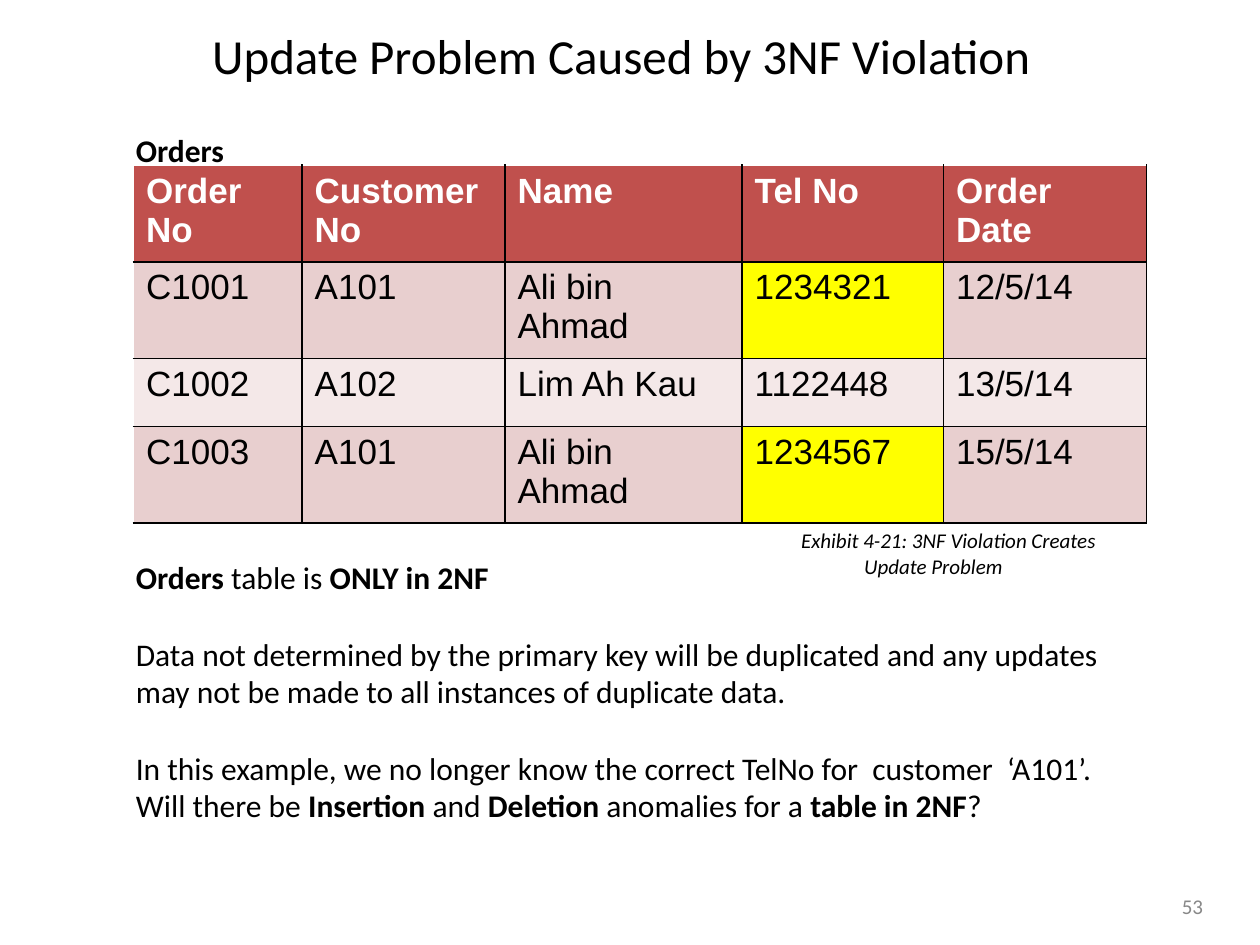
from lxml import etree
from pptx import Presentation
from pptx.dml.color import RGBColor
from pptx.enum import text as t
from pptx.oxml import ns
from pptx.util import Cm, Pt

BLACK, WHITE, GREY = "000000", "FFFFFF", "888888"
RED, ROSE, PALE, YELLOW = "C0504D", "E8CFCF", "F4E8E8", "FFFF00"

TITLE = [["Update Problem Caused by 3NF Violation"]]
TABLE_NAME = [["*Orders"]]
CAPTION = [["Exhibit 4-21: 3NF Violation Creates"], ["\tUpdate Problem"]]
PAGE_NUMBER = [["53"]]
DISCUSSION = [
    ["*Orders", " table is ", "*ONLY in 2NF"],
    ["Data not determined by the primary key will be duplicated and any updates "
     "may not be made to all instances of duplicate data."],
    ["In this example, we no longer know the correct TelNo for  customer  ‘A101’."],
    ["Will there be ", "*Insertion", " and ", "*Deletion",
     " anomalies for a ", "*table in 2NF", "?"],
]
GAPS_BEFORE = {1: 22, 2: 22}

ORDERS = [
    ["Order No", "Customer\nNo", "Name", "Tel No", "Order Date"],
    ["C1001", "A101", "Ali bin Ahmad", "1234321", "12/5/14"],
    ["C1002", "A102", "Lim Ah Kau", "1122448", "13/5/14"],
    ["C1003", "A101", "Ali bin Ahmad", "1234567", "15/5/14"],
]
COLUMN_WIDTHS = [3.4, 4.09, 4.78, 4.06, 4.09]
ROW_HEIGHTS = [1.93, 1.93, 1.37, 1.93]
CONFLICTS = {(1, 3), (3, 3)}


def rgb(color):
    return RGBColor.from_string(color)


def style(font, name, size, color):
    font.name, font.size = name, Pt(size)
    font.color.rgb = rgb(color)


def add_text(slide, paragraphs, box, size, color=BLACK, align=t.PP_ALIGN.LEFT,
             anchor=t.MSO_ANCHOR.TOP, italic=False, wrap=True, gaps={}):
    frame = slide.shapes.add_textbox(*map(Cm, box)).text_frame
    frame.word_wrap, frame.vertical_anchor = wrap, anchor
    for index, pieces in enumerate(paragraphs):
        paragraph = frame.paragraphs[0] if index == 0 else frame.add_paragraph()
        paragraph.alignment = align
        if index in gaps:
            paragraph.space_before = Pt(gaps[index])
        style(paragraph.font, "Calibri", size, color)
        paragraph.font.italic = italic
        for piece in pieces:
            run = paragraph.add_run()
            run.text = piece.removeprefix("*")
            if piece.startswith("*"):
                run.font.bold = True


def set_borders(cell, colors):
    properties = cell._tc.get_or_add_tcPr()
    for index, (side, color) in enumerate(colors.items()):
        line = etree.Element(ns.qn(f"a:ln{side}"), w=str(Pt(1)))
        fill = etree.SubElement(line, ns.qn("a:solidFill"))
        etree.SubElement(fill, ns.qn("a:srgbClr"), val=color)
        properties.insert(index, line)


def add_orders(slide):
    table = slide.shapes.add_table(
        len(ORDERS), len(COLUMN_WIDTHS), Cm(2.69), Cm(3.33),
        Cm(sum(COLUMN_WIDTHS)), Cm(sum(ROW_HEIGHTS))).table
    for column, width in zip(table.columns, COLUMN_WIDTHS):
        column.width = Cm(width)
    for r, (row, height) in enumerate(zip(ORDERS, ROW_HEIGHTS)):
        table.rows[r].height = Cm(height)
        for c, value in enumerate(row):
            cell = table.cell(r, c)
            cell.text = value
            band = RED if r == 0 else ROSE if r % 2 else PALE
            cell.fill.solid()
            cell.fill.fore_color.rgb = rgb(YELLOW if (r, c) in CONFLICTS else band)
            for paragraph in cell.text_frame.paragraphs:
                style(paragraph.font, "Arial", 20, BLACK if r else WHITE)
                paragraph.font.bold = r == 0
            set_borders(cell, {"L": BLACK if c else WHITE, "R": BLACK,
                               "T": BLACK if r else WHITE, "B": BLACK})


def main():
    deck = Presentation()
    deck.slide_width, deck.slide_height = Cm(25.4), Cm(19.05)
    slide = deck.slides.add_slide(deck.slide_layouts[6])
    centred = {"align": t.PP_ALIGN.CENTER, "anchor": t.MSO_ANCHOR.MIDDLE}
    add_text(slide, TITLE, (1.09, 0.28, 22.86, 1.65), 28, **centred)
    add_text(slide, CAPTION, (15.9, 10.52, 7.21, 1.27), 12, italic=True)
    add_text(slide, DISCUSSION, (2.49, 11.13, 20.9, 5.64), 18, gaps=GAPS_BEFORE)
    add_text(slide, PAGE_NUMBER, (23.29, 17.86, 1.5, 0.81), 12, GREY, **centred)
    add_orders(slide)
    add_text(slide, TABLE_NAME, (2.49, 2.51, 2.31, 1.02), 18, wrap=False)
    deck.save("out.pptx")


if __name__ == "__main__":
    main()
